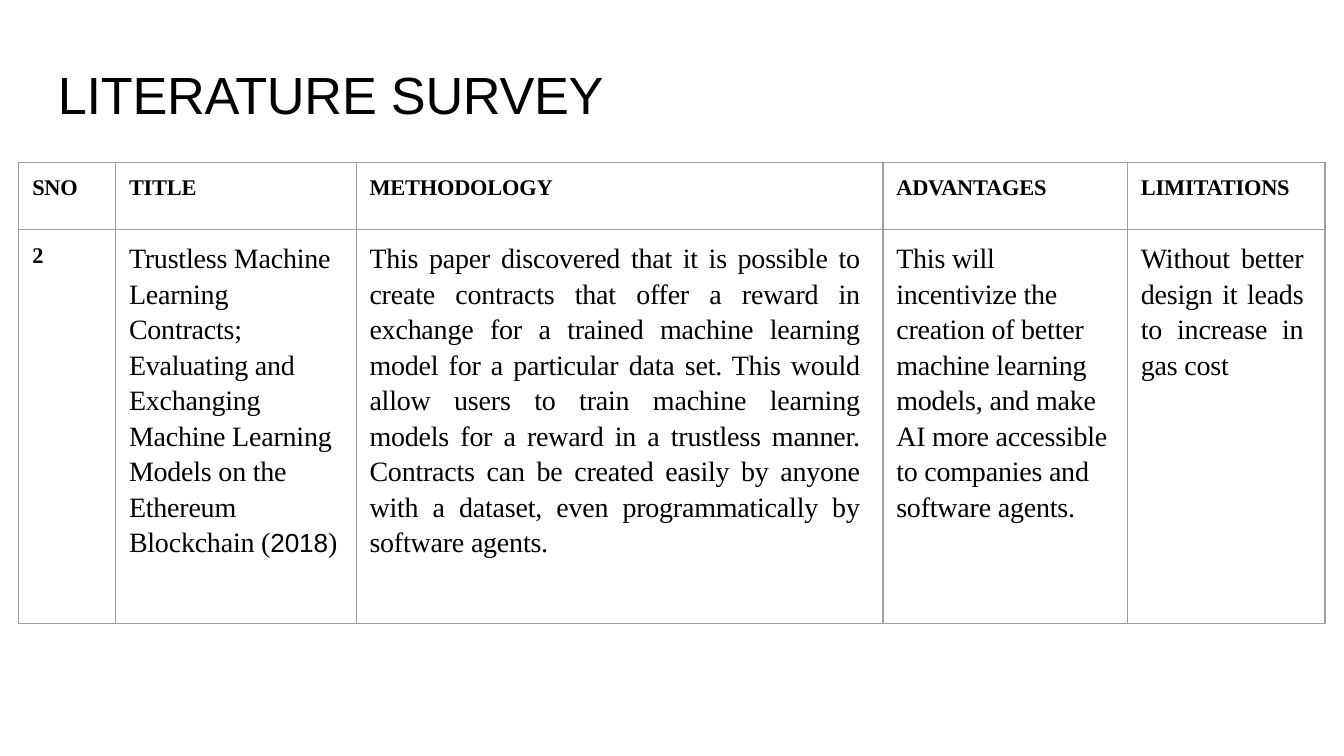
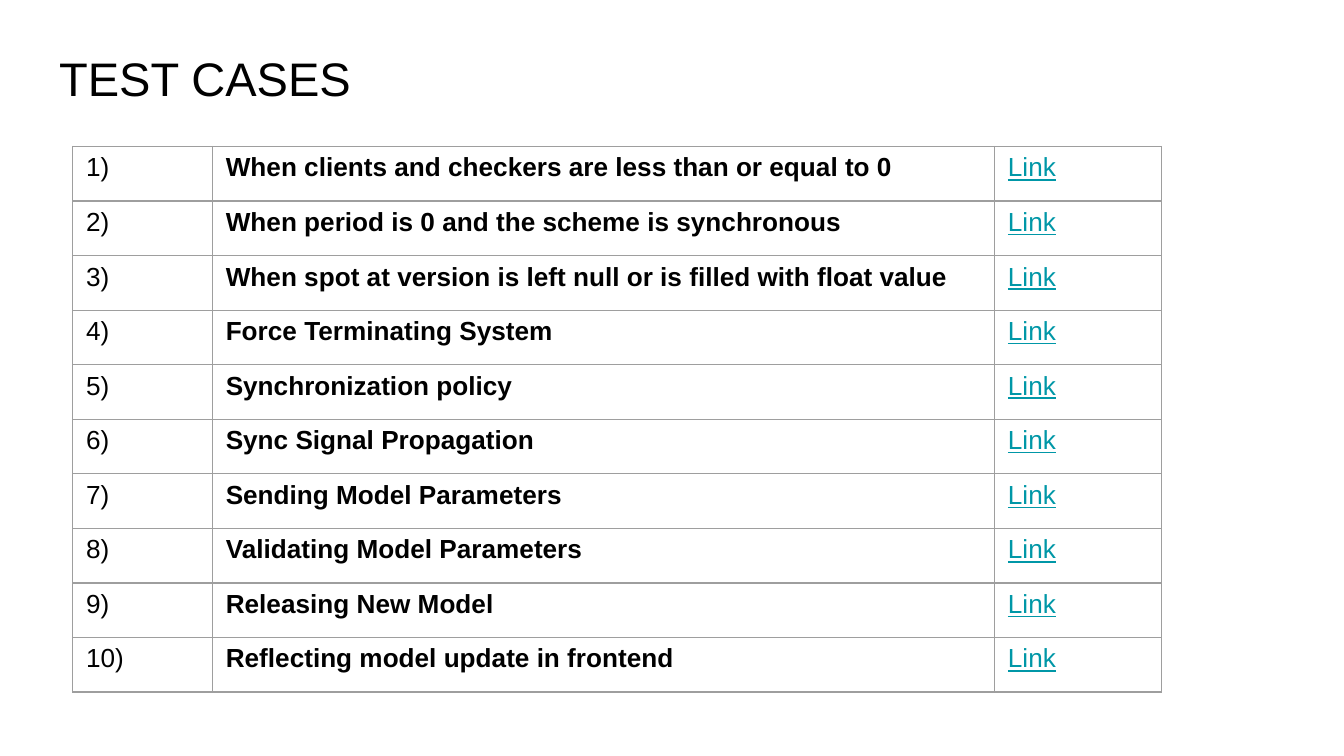
from lxml import etree
from pptx import Presentation
from pptx.dml.color import RGBColor
from pptx.enum.text import MSO_ANCHOR, MSO_AUTO_SIZE, PP_ALIGN
from pptx.oxml.ns import qn
from pptx.util import Emu, Inches, Pt

BLACK = RGBColor(0x00, 0x00, 0x00)
LINK_TEAL = RGBColor(0x00, 0x97, 0xA7)
BORDER_GREY = RGBColor(0x9E, 0x9E, 0x9E)
SANS = "Arial"
SERIF = "Times New Roman"
LEFT = PP_ALIGN.LEFT
JUSTIFY = PP_ALIGN.JUSTIFY
TOP = MSO_ANCHOR.TOP
NO_AUTOFIT = MSO_AUTO_SIZE.NONE
TITLE_ONLY = 5
BORDER_SIDES = ("a:lnL", "a:lnR", "a:lnT", "a:lnB")

SURVEY_COLUMNS = (0.72, 1.79, 3.92, 1.82, 1.47)
SURVEY_ROWS = (0.5, 2.93)
SURVEY_RIGHT_MARGINS = (0, 0.08, 0.17, 0.07, 0.16)
SURVEY_HEADINGS = ("SNO", "TITLE", "METHODOLOGY", "ADVANTAGES", "LIMITATIONS")
SURVEY_ENTRY = (
    "2",
    "Trustless Machine Learning Contracts; Evaluating and Exchanging "
    "Machine Learning Models on the Ethereum Blockchain (",
    "This paper discovered that it is possible to create contracts that offer "
    "a reward in exchange for a trained machine learning model for a "
    "particular data set. This would allow users to train machine learning "
    "models for a reward in a trustless manner. Contracts can be created "
    "easily by anyone with a dataset, even programmatically by software agents.",
    "This will incentivize the creation of better machine learning models, "
    "and make AI more accessible to companies and software agents.",
    "Without better design it leads to increase in gas cost",
)
SURVEY_YEAR = "2018"
JUSTIFIED_COLUMNS = (2, 4)

TEST_COLUMNS = (1.04, 5.82, 1.24)
TEST_ROW_HEIGHT = 0.406
TEST_CASES = (
    "When clients and checkers are less than or equal to 0",
    "When period is 0 and the scheme is synchronous",
    "When spot at version is left null or is filled with float value",
    "Force Terminating System",
    "Synchronization policy",
    "Sync Signal Propagation",
    "Sending Model Parameters",
    "Validating Model Parameters",
    "Releasing New Model",
    "Reflecting model update in frontend",
)


def style_font(font, name, size, color=BLACK, bold=False, underline=False):
    """Set the look of a paragraph's or a run's font."""
    font.name = name
    font.size = Pt(size)
    font.color.rgb = color
    font.bold = bold
    font.underline = underline


def tighten(paragraph):
    """Draw the letters of a paragraph slightly closer together."""
    for run in paragraph.runs:
        run.font._element.set("spc", "-10")


def set_margins(target, left, top, right, bottom):
    """Set the four inner margins of a cell or text frame in inches."""
    target.margin_left = Inches(left)
    target.margin_top = Inches(top)
    target.margin_right = Inches(right)
    target.margin_bottom = Inches(bottom)


def add_titled_slide(presentation, text, box, size, margins):
    """Add a slide whose title sits in the given box."""
    slide = presentation.slides.add_slide(presentation.slide_layouts[TITLE_ONLY])
    title = slide.shapes.title
    title.left, title.top, title.width, title.height = map(Inches, box)
    frame = title.text_frame
    frame.text = text
    frame.word_wrap = True
    frame.auto_size = NO_AUTOFIT
    frame.vertical_anchor = TOP
    set_margins(frame, *margins)
    paragraph = frame.paragraphs[0]
    paragraph.alignment = LEFT
    style_font(paragraph.font, SANS, size)
    return slide


def add_borders(cell):
    """Draw a thin grey line on every side of a cell."""
    properties = cell._tc.get_or_add_tcPr()
    for position, side in enumerate(BORDER_SIDES):
        line = etree.Element(qn(side), w=str(Pt(0.75)))
        fill = etree.SubElement(line, qn("a:solidFill"))
        etree.SubElement(fill, qn("a:srgbClr"), val=str(BORDER_GREY))
        properties.insert(position, line)


def add_grid(slide, left, top, columns, rows):
    """Add a plain bordered table with the given column widths and row heights."""
    frame = slide.shapes.add_table(
        len(rows), len(columns), Inches(left), Inches(top),
        Inches(sum(columns)), Inches(sum(rows)))
    table = frame.table
    table.first_row = False
    table.horz_banding = False
    for column, width in zip(table.columns, columns):
        column.width = Inches(width)
    for row, height in zip(table.rows, rows):
        row.height = Inches(height)
    for cell in table.iter_cells():
        cell.fill.background()
        add_borders(cell)
    return table


def write_cell(cell, text, margins, alignment=LEFT):
    """Put text into a cell and return its paragraph."""
    cell.text = text
    cell.vertical_anchor = TOP
    set_margins(cell, *margins)
    paragraph = cell.text_frame.paragraphs[0]
    paragraph.alignment = alignment
    return paragraph


def write_survey_label(cell, text):
    """Write a bold heading or number of the survey."""
    paragraph = write_cell(cell, text, (0.1, 0.1, 0, 0))
    style_font(paragraph.font, SERIF, 12, bold=True)
    tighten(paragraph)


def write_survey_text(cell, text, right_margin, alignment):
    """Write a running text of the survey and return its paragraph."""
    paragraph = write_cell(cell, text, (0.1, 0.07, right_margin, 0), alignment)
    paragraph.line_spacing = 1.15
    style_font(paragraph.font, SERIF, 15)
    tighten(paragraph)
    return paragraph


def add_survey_slide(presentation):
    """Add the slide with the literature survey."""
    slide = add_titled_slide(presentation, "LITERATURE SURVEY",
                             (0.42, 0.45, 4.68, 0.5), 28, (0.01, 0.01, 0, 0))
    tighten(slide.shapes.title.text_frame.paragraphs[0])
    table = add_grid(slide, 0.14, 1.21, SURVEY_COLUMNS, SURVEY_ROWS)
    for column, heading in enumerate(SURVEY_HEADINGS):
        write_survey_label(table.cell(0, column), heading)
    write_survey_label(table.cell(1, 0), SURVEY_ENTRY[0])
    for column in range(1, len(SURVEY_COLUMNS)):
        alignment = JUSTIFY if column in JUSTIFIED_COLUMNS else LEFT
        paragraph = write_survey_text(
            table.cell(1, column), SURVEY_ENTRY[column],
            SURVEY_RIGHT_MARGINS[column], alignment)
        if column == 1:
            year = paragraph.add_run()
            year.text = SURVEY_YEAR
            style_font(year.font, SANS, 14)
            paragraph.add_run().text = ")"
            tighten(paragraph)


def add_test_slide(presentation):
    """Add the slide with the numbered test cases."""
    slide = add_titled_slide(presentation, "TEST CASES",
                             (0.34, 0.27, 9.32, 0.63), 25.2, (0.1,) * 4)
    rows = (TEST_ROW_HEIGHT,) * len(TEST_CASES)
    table = add_grid(slide, 0.54, 1.09, TEST_COLUMNS, rows)
    looks = ({}, {"bold": True}, {"color": LINK_TEAL, "underline": True})
    for row, test_case in enumerate(TEST_CASES):
        texts = (f"{row + 1})", test_case, "Link")
        for column, (text, look) in enumerate(zip(texts, looks)):
            paragraph = write_cell(table.cell(row, column), text,
                                   (0.1, 0.05, 0.1, 0.05))
            style_font(paragraph.font, SANS, 14, **look)


def main():
    """Build both slides and save the presentation."""
    presentation = Presentation()
    presentation.slide_width = Inches(10)
    presentation.slide_height = Emu(presentation.slide_width * 9 // 16)
    add_survey_slide(presentation)
    add_test_slide(presentation)
    presentation.save("out.pptx")


if __name__ == "__main__":
    main()
